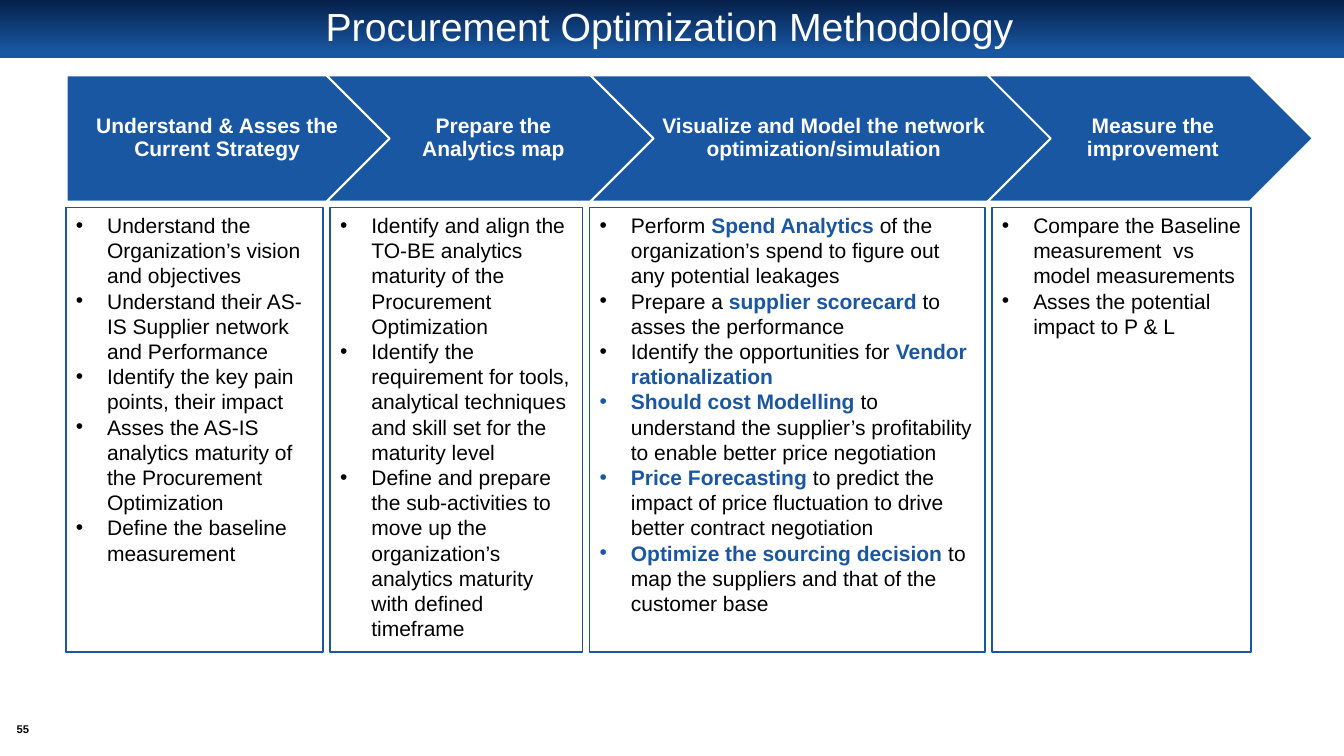
from lxml import etree
from pptx import Presentation
from pptx.dml.color import RGBColor
from pptx.enum.shapes import MSO_SHAPE
from pptx.enum.text import MSO_ANCHOR, MSO_AUTO_SIZE, PP_ALIGN
from pptx.oxml.ns import qn
from pptx.util import Cm, Pt

BLUE = RGBColor(0x19, 0x57, 0xA3)
NAVY = RGBColor(0x05, 0x20, 0x49)
WHITE = RGBColor(0xFF, 0xFF, 0xFF)
BLACK = RGBColor(0x00, 0x00, 0x00)
RECTANGLE = MSO_SHAPE.RECTANGLE
PENTAGON = MSO_SHAPE.PENTAGON
CHEVRON = MSO_SHAPE.CHEVRON
CENTER, LEFT = PP_ALIGN.CENTER, PP_ALIGN.LEFT
MIDDLE, TOP = MSO_ANCHOR.MIDDLE, MSO_ANCHOR.TOP
NO_AUTOFIT = MSO_AUTO_SIZE.NONE

FONT = "Arial"
SLIDE_WIDTH, SLIDE_HEIGHT = 33.87, 19.05
BAR_HEIGHT = 1.47
ARROW_TOP, ARROW_HEIGHT = 1.9, 3.18
BOX_TOP, BOX_HEIGHT = 5.23, 11.2
BULLET_INDENT = Cm(0.79)

# Arrow (left, width), heading, box (left, width), bullets; ** marks emphasis
STAGES = [
    ((1.68, 8.2), "Understand & Asses the Current Strategy", (1.66, 6.48), [
        "Understand the Organization’s vision and objectives",
        "Understand their AS-IS Supplier network and Performance",
        "Identify the key pain points, their impact",
        "Asses the AS-IS analytics maturity of the Procurement Optimization",
        "Define the baseline measurement",
    ]),
    ((8.23, 8.28), "Prepare the Analytics map", (8.32, 6.36), [
        "Identify and align the TO-BE analytics maturity of the Procurement "
        "Optimization",
        "Identify the requirement for tools, analytical techniques and skill "
        "set for the maturity level",
        "Define and prepare the sub-activities to move up the organization’s "
        "analytics maturity with defined timeframe",
    ]),
    ((14.88, 11.63), "Visualize and Model the network optimization/simulation",
     (14.86, 9.96), [
        "Perform **Spend Analytics **of the organization’s spend to figure "
        "out any potential leakages",
        "Prepare a **supplier scorecard **to asses the performance",
        "Identify the opportunities for **Vendor rationalization",
        "**Should cost Modelling **to understand the supplier’s "
        "profitability to enable better price negotiation",
        "**Price Forecasting **to predict the impact of price fluctuation "
        "to drive better contract negotiation",
        "**Optimize the sourcing decision **to map the suppliers and that "
        "of the customer base",
    ]),
    ((24.89, 8.2), "Measure the improvement", (25.0, 6.53), [
        "Compare the Baseline measurement  vs model measurements",
        "Asses the potential impact to P & L",
    ]),
]


class MethodologySlide:
    def __init__(self, presentation):
        self.slide = presentation.slides.add_slide(presentation.slide_layouts[5])
        self.shapes = self.slide.shapes

    def style(self, paragraph, size, color, bold=False, align=CENTER):
        paragraph.alignment = align
        font = paragraph.font
        font.name, font.size, font.bold = FONT, Pt(size), bold
        font.color.rgb = color

    def shape(self, kind, left, top, width, height):
        shape = self.shapes.add_shape(kind, Cm(left), Cm(top), Cm(width), Cm(height))
        shape.shadow.inherit = False
        return shape

    def paint(self, shape, fill, line, line_width):
        shape.fill.solid()
        shape.fill.fore_color.rgb = fill
        shape.line.color.rgb = line
        shape.line.width = Pt(line_width)

    def title_bar(self, text):
        bar = self.shape(RECTANGLE, 0, 0, SLIDE_WIDTH, BAR_HEIGHT)
        bar.line.fill.background()
        bar.fill.gradient()
        bar.fill.gradient_angle = 270
        stops = zip(bar.fill.gradient_stops, (NAVY, BLUE), (0, 0.9))
        for stop, color, position in stops:
            stop.color.rgb = color
            stop.position = position

        title = self.shapes.title
        bar._element.addnext(title._element)
        title.left, title.top = Cm(1.68), Cm(0.15)
        title.width, title.height = Cm(30.38), Cm(1.14)
        frame = title.text_frame
        frame.text = text
        frame.auto_size = NO_AUTOFIT
        frame.vertical_anchor = MIDDLE
        paragraph = frame.paragraphs[0]
        paragraph.line_spacing = 0.9
        self.style(paragraph, 28, WHITE)

    def arrow(self, kind, left, width, text):
        arrow = self.shape(kind, left, ARROW_TOP, width, ARROW_HEIGHT)
        self.paint(arrow, BLUE, WHITE, 1.5)
        frame = arrow.text_frame
        frame.text = text
        frame.word_wrap = True
        frame.vertical_anchor = MIDDLE
        frame.margin_left = Cm(0.23 if kind == PENTAGON else 0.18)
        frame.margin_right = Cm(0.05)
        frame.margin_top = frame.margin_bottom = Cm(0.1)
        paragraph = frame.paragraphs[0]
        paragraph.line_spacing = 0.9
        self.style(paragraph, 15, WHITE, bold=True)

    def bullet_box(self, left, width, bullets):
        box = self.shape(RECTANGLE, left, BOX_TOP, width, BOX_HEIGHT)
        self.paint(box, WHITE, BLUE, 1)
        frame = box.text_frame
        frame.word_wrap = True
        frame.vertical_anchor = TOP
        for index, text in enumerate(bullets):
            paragraph = frame.add_paragraph() if index else frame.paragraphs[0]
            self.bullet(paragraph, text)

    def bullet(self, paragraph, text):
        properties = paragraph._p.get_or_add_pPr()
        properties.set("marL", str(BULLET_INDENT))
        properties.set("indent", str(-BULLET_INDENT))
        etree.SubElement(properties, qn("a:buFont")).set("typeface", FONT)
        etree.SubElement(properties, qn("a:buChar")).set("char", "•")
        self.style(paragraph, 15, BLACK, align=LEFT)
        for index, part in enumerate(text.split("**")):
            if part:
                run = paragraph.add_run()
                run.text = part
                emphasized = index % 2 == 1
                run.font.bold = emphasized
                run.font.color.rgb = BLUE if emphasized else BLACK

    def page_number(self, text):
        box = self.shapes.add_textbox(Cm(0.2), Cm(18.14), Cm(0.76), Cm(0.48))
        frame = box.text_frame
        frame.text = text
        frame.word_wrap = False
        frame.vertical_anchor = MIDDLE
        frame.margin_left = frame.margin_right = 0
        frame.margin_top = frame.margin_bottom = 0
        self.style(frame.paragraphs[0], 8, BLACK, bold=True)


def main():
    presentation = Presentation()
    presentation.slide_width = Cm(SLIDE_WIDTH)
    presentation.slide_height = Cm(SLIDE_HEIGHT)
    slide = MethodologySlide(presentation)
    slide.title_bar("Procurement Optimization Methodology")
    for index, (arrow, heading, box, bullets) in enumerate(STAGES):
        slide.arrow(CHEVRON if index else PENTAGON, *arrow, heading)
        slide.bullet_box(*box, bullets)
    slide.page_number("55")
    presentation.save("out.pptx")


if __name__ == "__main__":
    main()
